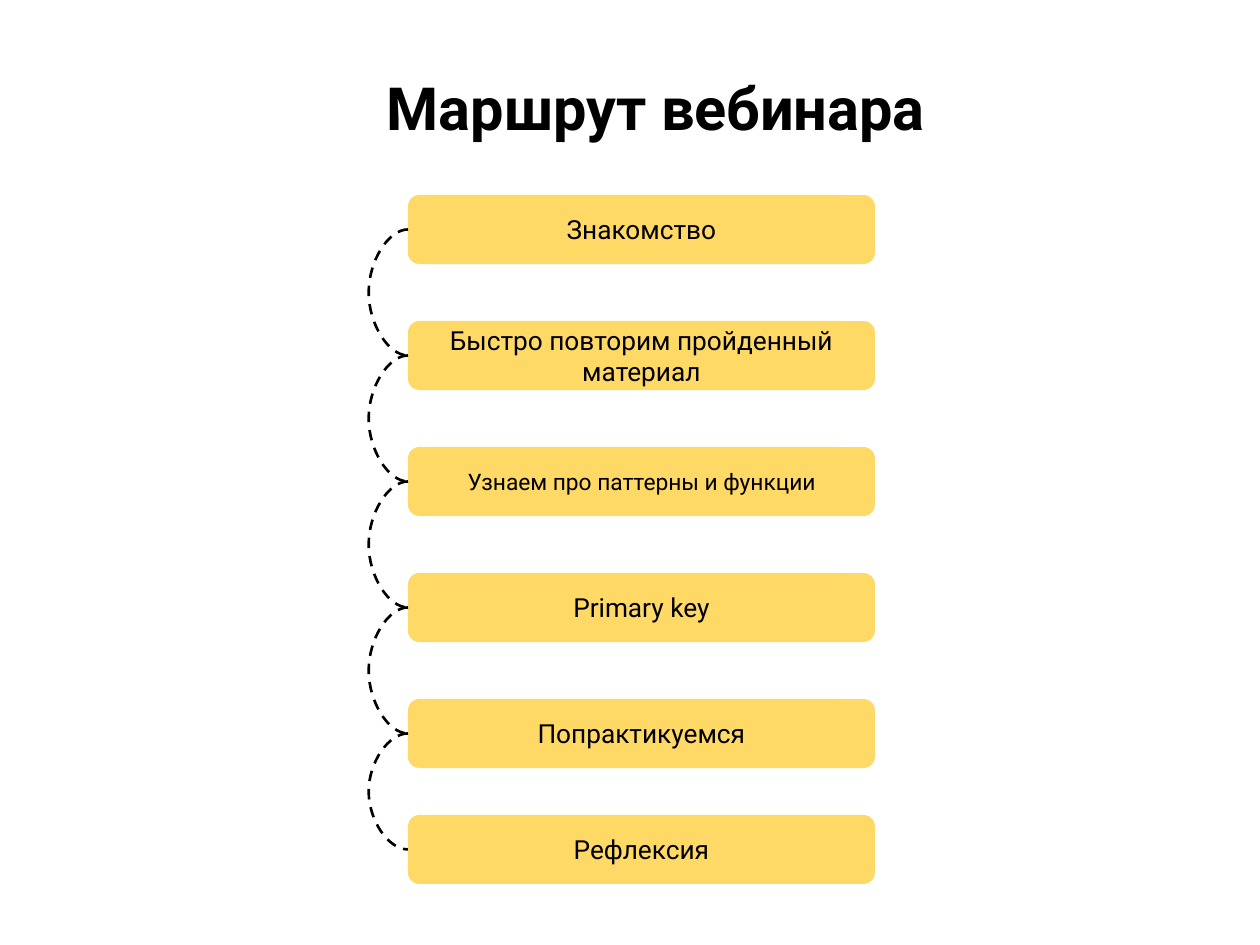
import dataclasses
import itertools

import pptx
import pptx.dml.color
import pptx.enum.dml
import pptx.enum.shapes
import pptx.enum.text
import pptx.oxml
import pptx.oxml.ns
import pptx.util

PX = 914400 / 126
LEFT_SIDE = 1


@dataclasses.dataclass(frozen=True)
class Theme:
    font: str = "Roboto"
    ink: str = "000000"
    step_fill: str = "FFD966"
    title_size: int = 34
    step_size: int = 15
    long_step_size: int = 13
    link_width: float = 1.5


THEME = Theme()


def px(length):
    return pptx.util.Emu(round(length * PX))


def rgb(value):
    return pptx.dml.color.RGBColor.from_string(value)


def write_centred(frame, text, size, anchor, side_inset, bold=False):
    frame_format = {
        "word_wrap": True,
        "auto_size": pptx.enum.text.MSO_AUTO_SIZE.NONE,
        "vertical_anchor": anchor,
        "margin_left": pptx.util.Inches(side_inset),
        "margin_right": pptx.util.Inches(side_inset),
        "margin_top": pptx.util.Inches(0.1),
        "margin_bottom": pptx.util.Inches(0.1),
    }
    for name, value in frame_format.items():
        setattr(frame, name, value)
    paragraph = frame.paragraphs[0]
    paragraph.alignment = pptx.enum.text.PP_ALIGN.CENTER
    run = paragraph.add_run()
    run.text = text
    font_format = {"name": THEME.font, "size": pptx.util.Pt(size), "bold": bold}
    for name, value in font_format.items():
        setattr(run.font, name, value)
    run.font.color.rgb = rgb(THEME.ink)


def place_title(slide, text, box):
    title = slide.shapes.title
    for name, value in zip(("left", "top", "width", "height"), box):
        setattr(title, name, px(value))
    write_centred(title.text_frame, text, THEME.title_size,
                  pptx.enum.text.MSO_ANCHOR.TOP, 0.1, bold=True)


def add_step(slide, text, size, box):
    step = slide.shapes.add_shape(
        pptx.enum.shapes.MSO_SHAPE.ROUNDED_RECTANGLE, *map(px, box))
    step.shadow.inherit = False
    step.fill.solid()
    step.fill.fore_color.rgb = rgb(THEME.step_fill)
    step.line.fill.background()
    write_centred(step.text_frame, text, size,
                  pptx.enum.text.MSO_ANCHOR.MIDDLE, 0.3)
    return step


def link_steps(slide, upper, lower):
    """Join the left sides of two steps with a dashed curve bulging left."""
    link = slide.shapes.add_connector(
        pptx.enum.shapes.MSO_CONNECTOR.CURVE, 0, 0, 0, 0)
    link.begin_connect(upper, LEFT_SIDE)
    link.end_connect(lower, LEFT_SIDE)
    # The bulge is a multiple of the width, which must not be zero; running
    # from right to left makes a positive multiple bulge to the left.
    link.begin_x = link.end_x + 600
    link.line.color.rgb = rgb(THEME.ink)
    link.line.width = pptx.util.Pt(THEME.link_width)
    link.line.dash_style = pptx.enum.dml.MSO_LINE.DASH
    properties = link._element.spPr
    adjustments = properties.find(".//" + pptx.oxml.ns.qn("a:avLst"))
    adjustments.append(pptx.oxml.parse_xml(
        f'<a:gd {pptx.oxml.ns.nsdecls("a")} name="adj1" fmla="val 39687500"/>'))
    properties.append(pptx.oxml.parse_xml(
        f'<a:effectLst {pptx.oxml.ns.nsdecls("a")}/>'))


def build_route(slide, topics, box):
    """Stack the steps at an even pitch; the last one ends at the box's foot."""
    left, top, width, height = box
    step_height, pitch = 69, 126
    last_top = top + height - step_height
    steps = [
        add_step(slide, text, size,
                 (left, min(top + row * pitch, last_top), width, step_height))
        for row, (text, size) in enumerate(topics)
    ]
    for upper, lower in itertools.pairwise(steps):
        link_steps(slide, upper, lower)


def main():
    deck = pptx.Presentation()
    deck.slide_width, deck.slide_height = px(1260), px(945)
    slide = deck.slides.add_slide(deck.slide_layouts.get_by_name("Title Only"))
    place_title(slide, "Маршрут вебинара", (69, 58, 1174, 180))
    topics = [
        ("Знакомство", THEME.step_size),
        ("Быстро повторим пройденный материал", THEME.step_size),
        ("Узнаем про паттерны и функции", THEME.long_step_size),
        ("Primary key", THEME.step_size),
        ("Попрактикуемся", THEME.step_size),
        ("Рефлексия", THEME.step_size),
    ]
    build_route(slide, topics, (408, 195, 467, 689))
    deck.save("out.pptx")


if __name__ == "__main__":
    main()
